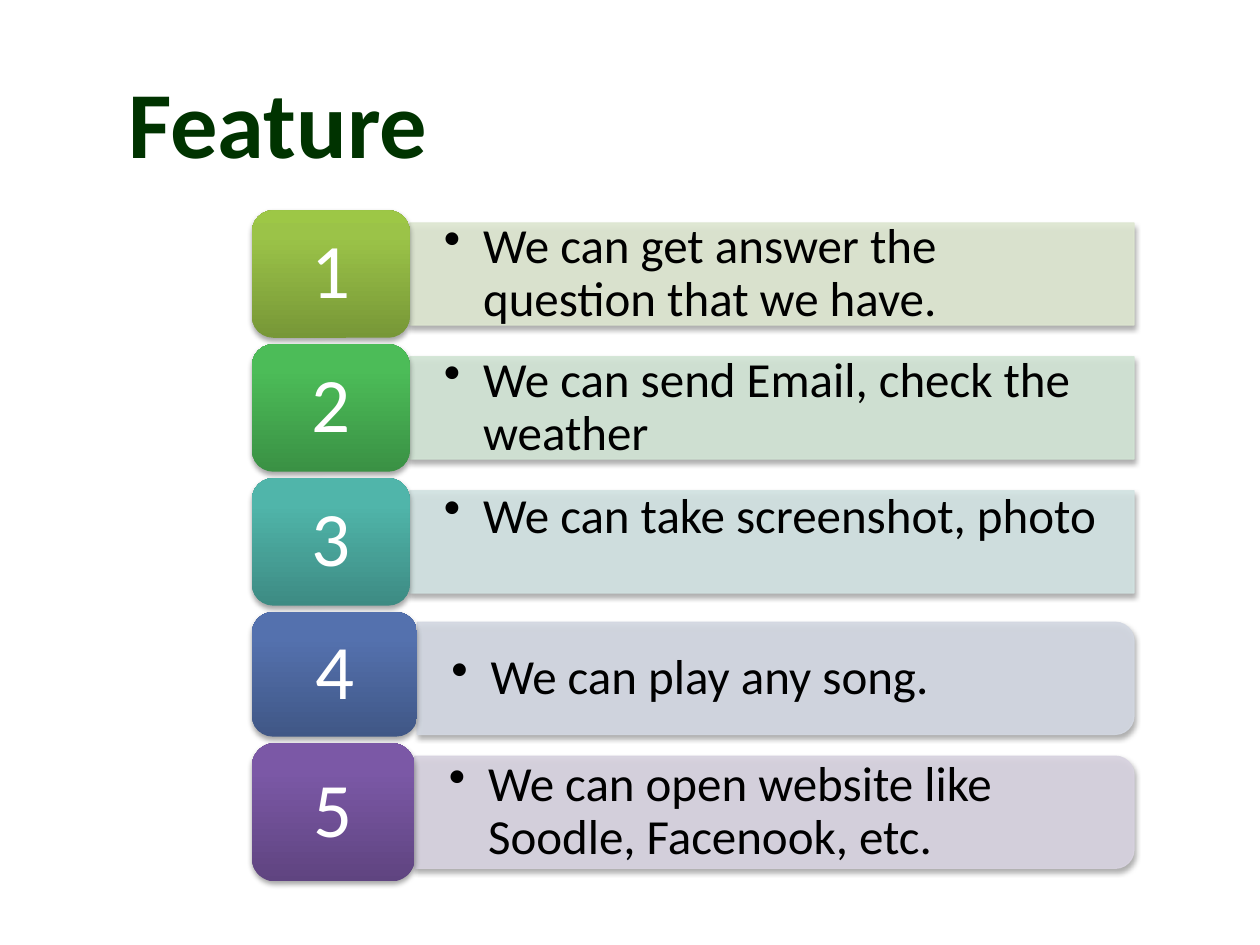
from dataclasses import dataclass

from lxml.etree import SubElement
from pptx import Presentation
from pptx.dml.color import RGBColor
from pptx.enum.shapes import MSO_SHAPE
from pptx.enum.text import MSO_ANCHOR, PP_ALIGN
from pptx.oxml import parse_xml
from pptx.oxml.ns import nsdecls, qn
from pptx.util import Cm, Pt

FONT = "Calibri"
COLORS = {"title": "003300", "text": "000000", "number": "FFFFFF", "shadow": "000000"}
TILE_LEFT = 5.08
FIRST_TILE_TOP = 4.24
TILE_GAP = 0.13
BAR_RIGHT = 22.86


@dataclass
class Feature:
    """One numbered row; lengths in cm, gradient from bottom to top."""
    text: str
    bar_color: str
    gradient: tuple[str, str, str]
    tile_width: float = 3.18
    tile_height: float = 2.57
    bar_height: float = 2.06
    bar_drop: float = 0
    rounded: bool = False
    at_top: bool = False


FEATURES = [
    Feature("We can get answer the question that we have.", "DEE7D1",
            ("779737", "9BC348", "9DC746")),
    Feature("We can send Email, check the weather", "D2E5D5",
            ("3A9144", "4CBC58", "4ABF57")),
    Feature("We can take screenshot, photo", "D2E3E2",
            ("3D8B83", "50B5AA", "4EB8AC"), at_top=True),
    Feature("We can play any song.", "D3D8E2", ("405786", "5471AE", "5271B0"),
            tile_width=3.33, tile_height=2.51, bar_height=2.26, bar_drop=0.08,
            rounded=True),
    Feature("We can open website like Soodle, Facenook, etc.", "D8D3E0",
            ("5F4480", "7B58A6", "7C57A8"),
            tile_width=3.28, tile_height=2.79, bar_height=2.26, rounded=True),
]


def style_font(paragraph, size: float, color: str, bold: bool = False) -> None:
    font = paragraph.font
    font.name, font.size, font.bold = FONT, Pt(size), bold
    font.color.rgb = RGBColor.from_string(color)


def add_shadow(shape) -> None:
    shape.shadow.inherit = False
    effects = shape._element.spPr.find(qn("a:effectLst"))
    effects.append(parse_xml(
        f'<a:outerShdw {nsdecls("a")} blurRad="{Pt(3.1)}" dist="{Pt(1.8)}" '
        f'dir="5400000" rotWithShape="0"><a:srgbClr val="{COLORS["shadow"]}">'
        '<a:alpha val="35000"/></a:srgbClr></a:outerShdw>'))


def add_bar(slide, feature: Feature, left: float, center: float) -> None:
    """Draw the bar turned by 90 degrees, so that its rounded top faces right."""
    length, height = BAR_RIGHT - left, feature.bar_height
    kind = MSO_SHAPE.ROUND_2_SAME_RECTANGLE if feature.rounded else MSO_SHAPE.RECTANGLE
    bar = slide.shapes.add_shape(
        kind, Cm(left + (length - height) / 2), Cm(center - length / 2),
        Cm(height), Cm(length))
    bar.rotation = 90
    bar.fill.solid()
    bar.line.width = Pt(0.75)
    for color in (bar.fill.fore_color, bar.line.color):
        color.rgb = RGBColor.from_string(feature.bar_color)
    for color in bar._element.spPr.iter(qn("a:srgbClr")):
        SubElement(color, qn("a:alpha"), val="90000")
    add_shadow(bar)


def add_bullet_text(slide, feature: Feature, left: float, center: float) -> None:
    height = feature.bar_height
    box = slide.shapes.add_textbox(Cm(left), Cm(center - height / 2),
                                   Cm(BAR_RIGHT - left), Cm(height))
    frame = box.text_frame
    frame.word_wrap = True
    frame.margin_left = frame.margin_right = Cm(0.69)
    frame.margin_top = frame.margin_bottom = 0
    frame.vertical_anchor = MSO_ANCHOR.TOP if feature.at_top else MSO_ANCHOR.MIDDLE
    paragraph = frame.paragraphs[0]
    paragraph.text = feature.text
    paragraph.line_spacing = 0.9
    style_font(paragraph, 28, COLORS["text"])
    properties = paragraph._p.get_or_add_pPr()
    properties.set("marL", str(Cm(0.79)))
    properties.set("indent", str(-Cm(0.79)))
    bullet = parse_xml(f'<a:buChar {nsdecls("a")} char="•"/>')
    properties.insert_element_before(bullet, "a:tabLst", "a:defRPr", "a:extLst")


def add_tile(slide, feature: Feature, number: int, top: float) -> None:
    tile = slide.shapes.add_shape(
        MSO_SHAPE.ROUNDED_RECTANGLE, Cm(TILE_LEFT), Cm(top),
        Cm(feature.tile_width), Cm(feature.tile_height))
    stops = "".join(
        f'<a:gs pos="{position}000"><a:srgbClr val="{color}"/></a:gs>'
        for position, color in zip((0, 80, 100), feature.gradient))
    tile._element.spPr.insert_element_before(parse_xml(
        f'<a:gradFill {nsdecls("a")} rotWithShape="1"><a:gsLst>{stops}</a:gsLst>'
        '<a:lin ang="16200000" scaled="0"/></a:gradFill>'), "a:ln", "a:effectLst")
    tile.line.fill.background()
    add_shadow(tile)
    frame = tile.text_frame
    frame.vertical_anchor = MSO_ANCHOR.MIDDLE
    paragraph = frame.paragraphs[0]
    paragraph.text = str(number)
    paragraph.alignment = PP_ALIGN.CENTER
    paragraph.line_spacing = 0.9
    style_font(paragraph, 44, COLORS["number"])


def add_title(slide, text: str) -> None:
    title = slide.shapes.add_textbox(Cm(2.34), Cm(0.84), Cm(22.43), Cm(3.18))
    frame = title.text_frame
    frame.word_wrap = True
    frame.vertical_anchor = MSO_ANCHOR.MIDDLE
    frame.text = text
    style_font(frame.paragraphs[0], 54, COLORS["title"], bold=True)


def main() -> None:
    presentation = Presentation()
    presentation.slide_width, presentation.slide_height = Cm(25.4), Cm(19.05)
    slide = presentation.slides.add_slide(presentation.slide_layouts[6])
    top = FIRST_TILE_TOP
    for number, feature in enumerate(FEATURES, start=1):
        bar_left = TILE_LEFT + feature.tile_width
        bar_center = top + feature.tile_height / 2 + feature.bar_drop
        add_bar(slide, feature, bar_left, bar_center)
        add_bullet_text(slide, feature, bar_left, bar_center)
        add_tile(slide, feature, number, top)
        top += feature.tile_height + TILE_GAP
    add_title(slide, "Feature")
    presentation.save("out.pptx")


if __name__ == "__main__":
    main()
